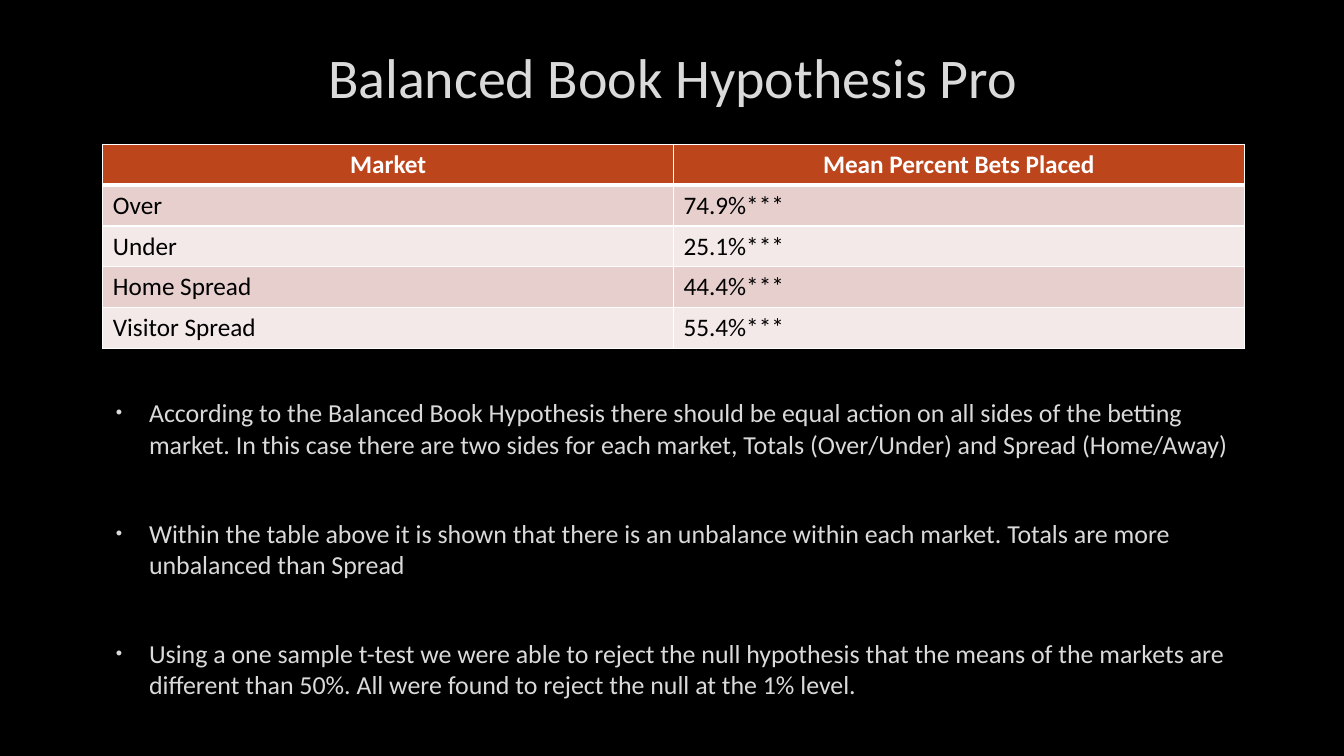
from lxml.etree import SubElement
from pptx import Presentation
from pptx.dml.color import RGBColor
from pptx.enum.text import MSO_ANCHOR, PP_ALIGN
from pptx.oxml.ns import qn
from pptx.util import Inches, Pt

BLACK = RGBColor(0x00, 0x00, 0x00)
WHITE = RGBColor(0xFF, 0xFF, 0xFF)
LIGHT_GRAY = RGBColor(0xDA, 0xDA, 0xDA)
RUST = RGBColor(0xBC, 0x45, 0x1B)
BAND_DARK = RGBColor(0xE7, 0xCF, 0xCD)
BAND_LIGHT = RGBColor(0xF3, 0xE9, 0xE8)

MARKETS = [
    ("Market", "Mean Percent Bets Placed"),
    ("Over", "74.9%***"),
    ("Under", "25.1%***"),
    ("Home Spread", "44.4%***"),
    ("Visitor Spread", "55.4%***"),
]
FINDINGS = [
    "According to the Balanced Book Hypothesis there should be equal action on all sides of the "
    "betting market. In this case there are two sides for each market, Totals (Over/Under) and "
    "Spread (Home/Away)",
    "Within the table above it is shown that there is an unbalance within each market. Totals are "
    "more unbalanced than Spread",
    "Using a one sample t-test we were able to reject the null hypothesis that the means of the "
    "markets are different than 50%. All were found to reject the null at the 1% level.",
]


def style(paragraph, size, color, bold=False):
    font = paragraph.font
    font.name = "Calibri"
    font.size = Pt(size)
    font.color.rgb = color
    font.bold = bold


def add_border(cell, side, points):
    """Draw a white line on one side (L, R, T or B); call before filling the cell."""
    line = SubElement(cell._tc.get_or_add_tcPr(), qn(f"a:ln{side}"), w=str(Pt(points)))
    fill = SubElement(line, qn("a:solidFill"))
    SubElement(fill, qn("a:srgbClr"), val=str(WHITE))


deck = Presentation()
deck.slide_width = Inches(13.33)
deck.slide_height = Inches(7.5)
page = deck.slides.add_slide(deck.slide_layouts[5])
page.background.fill.solid()
page.background.fill.fore_color.rgb = BLACK

# Title
title = page.shapes.title
title.left, title.top = Inches(1.01), Inches(0.23)
title.width, title.height = Inches(11.32), Inches(1.06)
title.text_frame.text = "Balanced Book Hypothesis Pro"
title.text_frame.vertical_anchor = MSO_ANCHOR.MIDDLE
heading = title.text_frame.paragraphs[0]
heading.alignment = PP_ALIGN.CENTER
style(heading, 40, LIGHT_GRAY)

# Market table
table = page.shapes.add_table(
    len(MARKETS), 2, Inches(1.02), Inches(1.43), Inches(11.32), Inches(2.03)
).table
for row_index, values in enumerate(MARKETS):
    is_header = row_index == 0
    for column_index, value in enumerate(values):
        cell = table.cell(row_index, column_index)
        add_border(cell, "L", 1)
        add_border(cell, "R", 1)
        add_border(cell, "T", 3 if row_index == 1 else 1)
        add_border(cell, "B", 3 if is_header else 1)
        cell.fill.solid()
        if is_header:
            cell.fill.fore_color.rgb = RUST
        else:
            cell.fill.fore_color.rgb = BAND_DARK if row_index % 2 else BAND_LIGHT
        cell.text = value
        para = cell.text_frame.paragraphs[0]
        para.alignment = PP_ALIGN.CENTER if is_header else PP_ALIGN.LEFT
        style(para, 18, WHITE if is_header else BLACK, is_header)

# Findings
box = page.shapes.add_textbox(Inches(1), Inches(3.89), Inches(11.32), Inches(3.14))
frame = box.text_frame
frame.word_wrap = True
for index, finding in enumerate(FINDINGS):
    para = frame.paragraphs[0] if index == 0 else frame.add_paragraph()
    para.text = finding
    para.space_after = Pt(41.5)
    properties = para._p.get_or_add_pPr()
    properties.set("marL", str(Inches(0.38)))
    properties.set("indent", str(Inches(-0.33)))
    bullet_color = SubElement(properties, qn("a:buClr"))
    SubElement(bullet_color, qn("a:srgbClr"), val=str(LIGHT_GRAY))
    SubElement(properties, qn("a:buSzPct"), val="70000")
    SubElement(properties, qn("a:buFont"), typeface="Arial")
    SubElement(properties, qn("a:buChar"), char="•")
    style(para, 18.5, LIGHT_GRAY)

deck.save("out.pptx")
